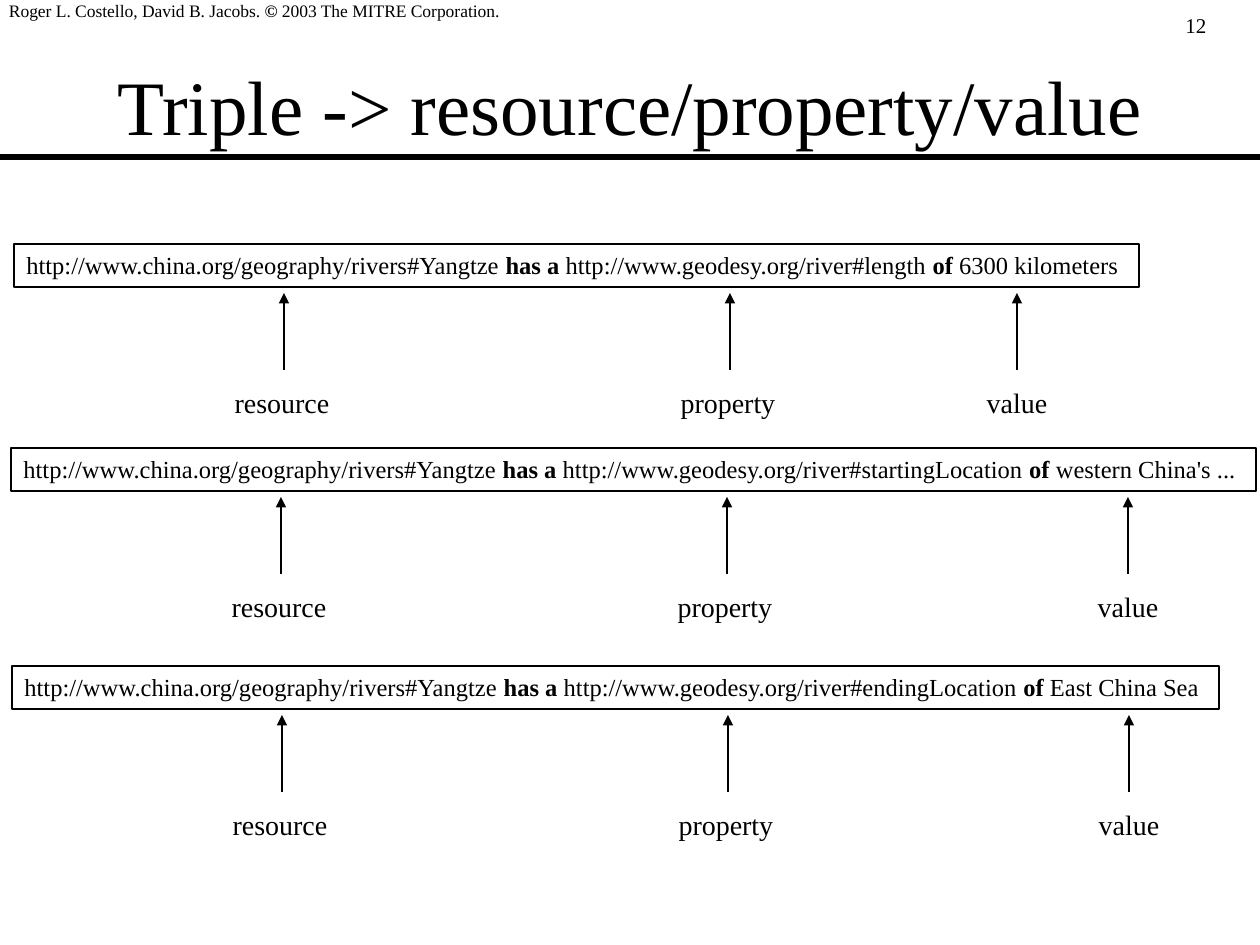
from lxml.etree import SubElement
from pptx import Presentation
from pptx.dml.color import RGBColor
from pptx.enum.shapes import MSO_CONNECTOR, MSO_SHAPE
from pptx.enum.text import MSO_ANCHOR, PP_ALIGN
from pptx.oxml.ns import qn
from pptx.util import Emu, Pt

PX = 914400 // 126
BLACK = RGBColor(0, 0, 0)
FONT = "Times New Roman"

TITLE = "Triple -> resource/property/value"
PAGE_NUMBER = "12"
COPYRIGHT = [
    ("Roger L. Costello, David B. Jacobs. ", False),
    ("©", True),
    (" 2003 The MITRE Corporation.", False),
]
RESOURCE = "http://www.china.org/geography/rivers#Yangtze"
PROPERTY_BASE = "http://www.geodesy.org/river#"
# property, value, box left, box top, box width, centre of the value arrow
TRIPLES = [
    ("length", "6300 kilometers", 14, 244, 1125, 1017),
    ("startingLocation", "western China's ...", 11, 448, 1245, 1128),
    ("endingLocation", "East China Sea", 12, 666, 1207, 1129),
]

BOX_HEIGHT = 43
RESOURCE_OFFSET, PROPERTY_OFFSET = 270, 716   # from the left of the box
ARROW_TOP, ARROW_BOTTOM = 49, 126             # from the top of the box
LABEL_TOP, LABEL_HEIGHT = 135, 47
WIDE_LABEL, NARROW_LABEL = 120, 86


def px(*lengths):
    return [Emu(length * PX) for length in lengths]


def write(shape, runs, size, wrap=True, align=PP_ALIGN.LEFT,
          anchor=MSO_ANCHOR.TOP):
    """Fill a shape with one paragraph of (text, bold) runs."""
    frame = shape.text_frame
    frame.word_wrap = wrap
    frame.vertical_anchor = anchor
    paragraph = frame.paragraphs[0]
    paragraph.alignment = align
    for text, bold in runs:
        run = paragraph.add_run()
        run.text = text
        for name, value in {"name": FONT, "size": Pt(size), "bold": bold}.items():
            setattr(run.font, name, value)
        run.font.color.rgb = BLACK


def add_text(slide, box, runs, size, **layout):
    shape = slide.shapes.add_textbox(*px(*box))
    write(shape, runs, size, **layout)
    return shape


def add_line(slide, start, end, width, arrow=False):
    line = slide.shapes.add_connector(MSO_CONNECTOR.STRAIGHT, *px(*start, *end))
    line.line.color.rgb = BLACK
    line.line.width = Pt(width)
    if arrow:
        SubElement(line.line._get_or_add_ln(), qn("a:tailEnd"), type="triangle")
    SubElement(line._element.spPr, qn("a:effectLst"))


def add_triple(slide, property_name, value, left, top, width, value_center):
    box = slide.shapes.add_shape(
        MSO_SHAPE.RECTANGLE, *px(left, top, width, BOX_HEIGHT))
    box.shadow.inherit = False
    box.fill.background()
    box.line.color.rgb = BLACK
    box.line.width = Pt(1)
    sentence = [
        (f"{RESOURCE} ", False),
        ("has a", True),
        (f" {PROPERTY_BASE}{property_name} ", False),
        ("of", True),
        (f" {value}", False),
    ]
    write(box, sentence, 14)

    # label, arrow centre, label width, shift of the label from its arrow
    parts = [
        ("resource", left + RESOURCE_OFFSET, WIDE_LABEL, -2),
        ("property", left + PROPERTY_OFFSET, WIDE_LABEL, -2),
        ("value", value_center, NARROW_LABEL, 0),
    ]
    for label, center, label_width, shift in parts:
        add_line(slide, (center, top + ARROW_BOTTOM), (center, top + ARROW_TOP),
                 1, arrow=True)
        label_box = (center + shift - label_width // 2, top + LABEL_TOP,
                     label_width, LABEL_HEIGHT)
        add_text(slide, label_box, [(label, False)], 16, wrap=False,
                 align=PP_ALIGN.CENTER)


def main():
    presentation = Presentation()
    presentation.slide_width, presentation.slide_height = px(1260, 945)
    slide = presentation.slides.add_slide(presentation.slide_layouts[6])

    add_text(slide, (1173, 6, 87, 38), [(PAGE_NUMBER, False)], 12)
    header = add_text(slide, (0, 0, 528, 32), COPYRIGHT, 10)
    header.text_frame.margin_left, header.text_frame.margin_top = px(9, 0)
    add_text(slide, (95, 26, 1071, 158), [(TITLE, False)], 44,
             align=PP_ALIGN.CENTER, anchor=MSO_ANCHOR.MIDDLE)
    add_line(slide, (0, 157), (1260, 157), 3)
    for triple in TRIPLES:
        add_triple(slide, *triple)

    presentation.save("out.pptx")


if __name__ == "__main__":
    main()
